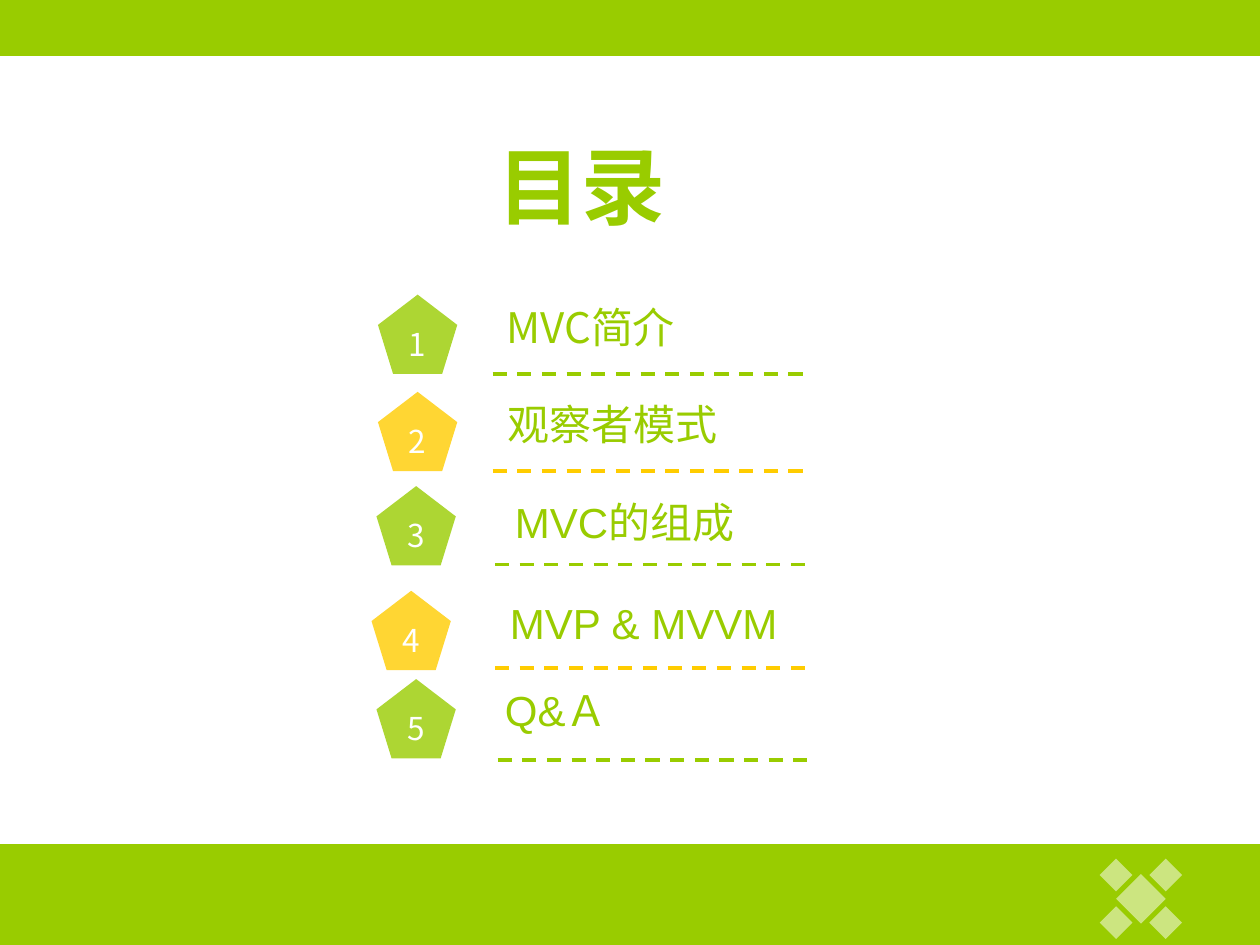
import lxml.etree
import pptx
import pptx.dml.color
import pptx.enum.dml
import pptx.enum.shapes
import pptx.enum.text
import pptx.oxml.ns
import pptx.util

Cm = pptx.util.Cm
SHAPES = pptx.enum.shapes.MSO_SHAPE
ALIGN = pptx.enum.text.PP_ALIGN
ANCHOR = pptx.enum.text.MSO_ANCHOR
COLORS = {"green": "99CC00", "yellow": "FFCC00", "white": "FFFFFF"}
CJK_FONT = "Noto Sans CJK SC"


class ContentsSlide:
    """Style and drawing methods for the contents slide."""

    def __init__(self, presentation):
        self.slide = presentation.slides.add_slide(presentation.slide_layouts[5])

    def color(self, name):
        return pptx.dml.color.RGBColor.from_string(COLORS[name])

    def add_xml(self, parent, tag, **attributes):
        return lxml.etree.SubElement(parent, pptx.oxml.ns.qn(tag), **attributes)

    def set_text(self, shape, text, color, size, font="Arial", bold=False,
                 align=ALIGN.LEFT, anchor=ANCHOR.TOP, wrap=True):
        frame = shape.text_frame
        frame_format = {
            "word_wrap": wrap, "vertical_anchor": anchor,
            "auto_size": pptx.enum.text.MSO_AUTO_SIZE.NONE,
            "margin_left": Cm(0.25), "margin_right": Cm(0.25),
            "margin_top": Cm(0.13), "margin_bottom": Cm(0.13),
        }
        for name, value in frame_format.items():
            setattr(frame, name, value)
        paragraph = frame.paragraphs[0]
        paragraph.alignment = align
        run = paragraph.add_run()
        run.text = text
        font_format = {"name": font, "size": pptx.util.Pt(size), "bold": bold}
        for name, value in font_format.items():
            setattr(run.font, name, value)
        run.font.color.rgb = self.color(color)
        self.add_xml(run.font._element, "a:ea", typeface=CJK_FONT)

    def add_title(self, text, left, top, width, height):
        title = self.slide.shapes.title
        position = {"left": left, "top": top, "width": width, "height": height}
        for name, value in position.items():
            setattr(title, name, Cm(value))
        self.set_text(title, text, "green", 48, bold=True, align=ALIGN.CENTER)

    def add_shape(self, kind, left, top, width, height, color, opacity=100):
        shape = self.slide.shapes.add_shape(
            kind, Cm(left), Cm(top), Cm(width), Cm(height))
        shape.shadow.inherit = False
        shape.fill.solid()
        shape.fill.fore_color.rgb = self.color(color)
        shape.line.fill.background()
        if opacity < 100:
            fill_color = shape._element.spPr.find(".//" + pptx.oxml.ns.qn("a:srgbClr"))
            self.add_xml(fill_color, "a:alpha", val=str(opacity * 1000))
        return shape

    def add_diamond(self, center_x, center_y, size):
        self.add_shape(SHAPES.DIAMOND, center_x - size / 2, center_y - size / 2,
                       size, size, "white", 50)

    def add_number(self, number, left, top, color):
        pentagon = self.add_shape(
            SHAPES.REGULAR_PENTAGON, left, top, 1.6, 1.6, color, 80)
        self.set_text(pentagon, str(number), "white", 18, CJK_FONT,
                      align=ALIGN.CENTER, anchor=ANCHOR.MIDDLE, wrap=False)

    def add_rule(self, left, top, color):
        rule = self.slide.shapes.add_connector(
            pptx.enum.shapes.MSO_CONNECTOR.STRAIGHT,
            Cm(left), Cm(top), Cm(left + 6.4), Cm(top))
        rule.line.color.rgb = self.color(color)
        rule.line.width = pptx.util.Pt(2)
        rule.line.dash_style = pptx.enum.dml.MSO_LINE.DASH
        self.add_xml(rule._element.spPr, "a:effectLst")

    def add_label(self, text, left, top, width, font, wrap):
        label = self.slide.shapes.add_textbox(Cm(left), Cm(top), Cm(width), Cm(1.27))
        self.set_text(label, text, "green", 24, font, wrap=wrap)


def main():
    presentation = pptx.Presentation()
    presentation.slide_width = Cm(25.4)
    presentation.slide_height = Cm(19.05)
    contents = ContentsSlide(presentation)

    contents.add_shape(SHAPES.RECTANGLE, 0, -0.05, 25.4, 1.18, "green")
    contents.add_shape(SHAPES.RECTANGLE, 0, 17.02, 25.4, 2.03, "green")
    center_x, center_y = 23, 18.12
    contents.add_diamond(center_x, center_y, 1)
    for side_x in (-1, 1):
        for side_y in (-1, 1):
            contents.add_diamond(center_x + side_x * 0.5, center_y + side_y * 0.48, 0.66)

    contents.add_title("目录", 7.77, 2.59, 7.92, 2.29)

    entries = [
        ("MVC简介", CJK_FONT, (7.62, 5.94), (9.93, 7.54), (9.96, 5.94), 4.22, False),
        ("观察者模式", CJK_FONT, (7.62, 7.9), (9.93, 9.49), (9.98, 7.9), 10.92, True),
        ("MVC的组成", "Arial", (7.59, 9.8), (9.98, 11.38), (10.13, 9.88), 7.06, True),
        ("MVP & MVVM", "Arial", (7.49, 11.91), (9.98, 13.47), (10.03, 11.91), 5.92, False),
        ("Q&Ａ", "Arial", (7.59, 13.69), (10.03, 15.32), (9.93, 13.67), 2.77, False),
    ]
    for number, entry in enumerate(entries, start=1):
        text, font, pentagon, rule, label, width, wrap = entry
        color = "green" if number % 2 else "yellow"
        contents.add_number(number, *pentagon, color)
        contents.add_rule(*rule, color)
        contents.add_label(text, *label, width, font, wrap)

    presentation.save("out.pptx")


if __name__ == "__main__":
    main()
